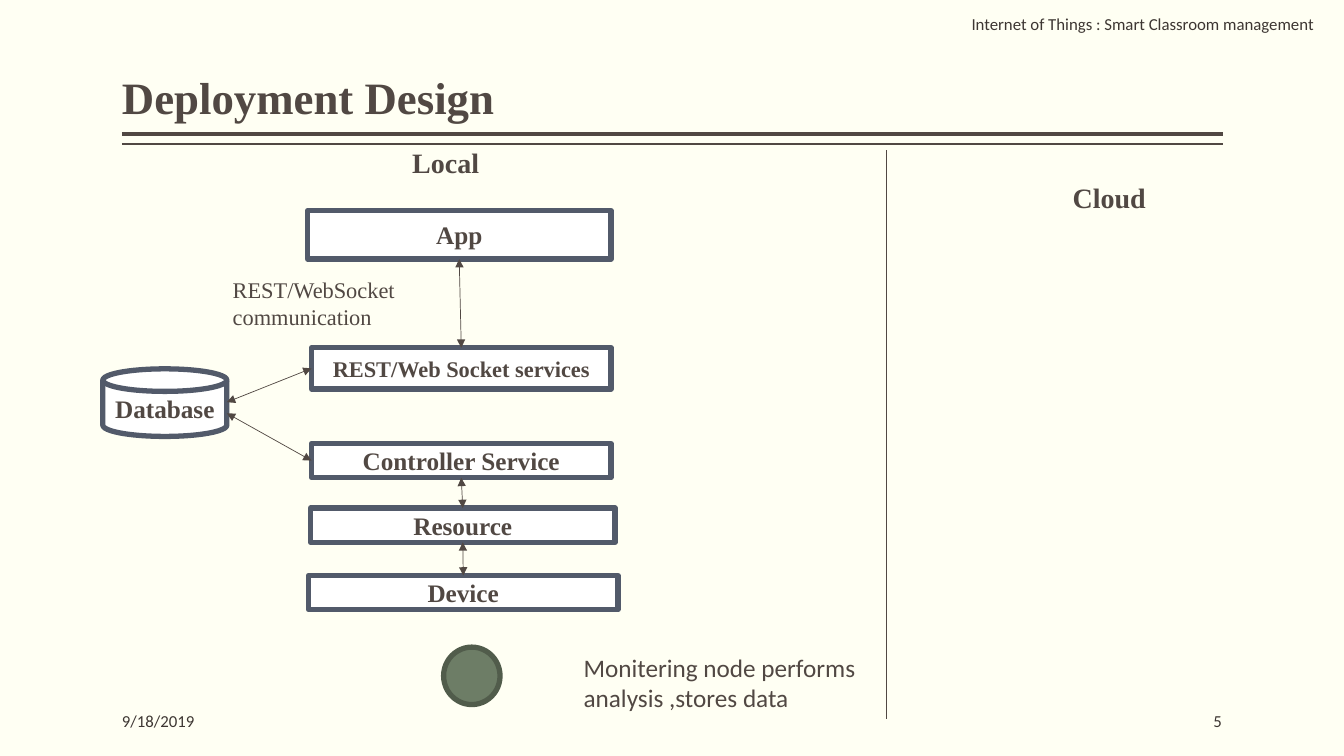
from dataclasses import dataclass

from lxml.etree import SubElement
from pptx import Presentation
from pptx.dml.color import RGBColor
from pptx.enum.shapes import MSO_CONNECTOR, MSO_SHAPE
from pptx.enum.text import MSO_ANCHOR, PP_ALIGN
from pptx.oxml.ns import qn
from pptx.util import Inches, Pt


@dataclass(frozen=True)
class Theme:
    """Colours, fonts and sizes of the slide."""
    background: str = "FFFFF3"
    ink: str = "514843"
    footer_ink: str = "3D3632"
    box_fill: str = "FFFFFF"
    box_line: str = "525A6A"
    node_fill: str = "6D7D66"
    node_line: str = "515C4B"
    serif: str = "Times New Roman"
    sans: str = "Calibri"
    title: int = 32
    heading: int = 20
    body: int = 18
    label: int = 16
    footer: int = 12
    border: float = 3.78
    hairline: float = 0.5


THEME = Theme()
TOP, LEFT, BOTTOM = 0, 1, 2


def color(value):
    """Turn a hex string into a colour."""
    return RGBColor.from_string(value)


def write(frame, text, size, font=THEME.serif, ink=THEME.ink, bold=False, align=PP_ALIGN.LEFT):
    """Write one run of text in a frame and return its paragraph."""
    frame.word_wrap = True
    paragraph = frame.paragraphs[0]
    paragraph.alignment = align
    run = paragraph.add_run()
    run.text = text
    run.font.size = Pt(size)
    run.font.name = font
    run.font.bold = bold
    run.font.color.rgb = color(ink)
    return paragraph


def add_text(slide, bounds, text, size, anchor=MSO_ANCHOR.TOP, flush=False, **style):
    """Add a text box, flush ones having no side margins."""
    frame = slide.shapes.add_textbox(*map(Inches, bounds)).text_frame
    frame.vertical_anchor = anchor
    if flush:
        frame.margin_left = frame.margin_right = 0
    return write(frame, text, size, **style)


def add_footer(slide, bounds, text, align):
    """Add a small text such as the date or the page number."""
    add_text(slide, bounds, text, THEME.footer, MSO_ANCHOR.MIDDLE, flush=True,
             font=THEME.sans, ink=THEME.footer_ink, align=align)


def add_outlined(slide, kind, bounds, fill=THEME.box_fill, line=THEME.box_line):
    """Add a filled shape with a thick border."""
    shape = slide.shapes.add_shape(kind, *map(Inches, bounds))
    shape.shadow.inherit = False
    shape.fill.solid()
    shape.fill.fore_color.rgb = color(fill)
    shape.line.color.rgb = color(line)
    shape.line.width = Pt(THEME.border)
    return shape


def add_component(slide, bounds, text, size=THEME.body, kind=MSO_SHAPE.RECTANGLE):
    """Add a shape that names one part of the system."""
    shape = add_outlined(slide, kind, bounds)
    shape.text_frame.vertical_anchor = MSO_ANCHOR.MIDDLE
    write(shape.text_frame, text, size, bold=True, align=PP_ALIGN.CENTER)
    return shape


def add_line(slide, start, end, width=THEME.hairline):
    """Add a straight line without a shadow."""
    line = slide.shapes.add_connector(MSO_CONNECTOR.STRAIGHT, *map(Inches, start + end))
    line.line.color.rgb = color(THEME.ink)
    line.line.width = Pt(width)
    SubElement(line._element.spPr, qn("a:effectLst"))
    return line


def add_double_arrow(slide, start, end):
    """Add a line with an arrowhead at each end."""
    arrow = add_line(slide, start, end)
    outline = arrow.line._get_or_add_ln()
    for tag in ("a:headEnd", "a:tailEnd"):
        SubElement(outline, qn(tag), type="triangle")
    return arrow


def add_frame(slide):
    """Add the title, its double rule and the small texts."""
    for top, width in ((1.33, 3), (1.43, 1)):
        add_line(slide, (1.21, top), (12.13, top), width)
    title = add_text(slide, (1.21, 0.08, 10.92, 1.2), "Deployment Design", THEME.title,
                     MSO_ANCHOR.BOTTOM, flush=True, bold=True)
    title.line_spacing = 0.9
    add_footer(slide, (1.21, 6.95, 2, 0.4), "9/18/2019", PP_ALIGN.LEFT)
    add_footer(slide, (10.12, 6.95, 2, 0.4), "5", PP_ALIGN.RIGHT)
    add_footer(slide, (9.34, 0.04, 3.99, 0.4),
               "Internet of Things : Smart Classroom management", PP_ALIGN.CENTER)


def add_local_stack(slide):
    """Add the local components and the arrows between them."""
    app = add_component(slide, (3.05, 2.09, 3.01, 0.48), "App")
    services = add_component(slide, (3.09, 3.45, 2.97, 0.41),
                             "REST/Web Socket services", THEME.label)
    controller = add_component(slide, (3.09, 4.4, 2.97, 0.34), "Controller Service")
    resource = add_component(slide, (3.08, 5.04, 3.02, 0.34), "Resource")
    device = add_component(slide, (3.06, 5.71, 3.07, 0.34), "Device")
    add_component(slide, (1.02, 3.66, 1.23, 0.67), "Database",
                  kind=MSO_SHAPE.FLOWCHART_MAGNETIC_DISK)

    for upper, lower in ((app, services), (controller, resource), (resource, device)):
        arrow = add_double_arrow(slide, (0, 0), (0, 0))
        arrow.begin_connect(upper, BOTTOM)
        arrow.end_connect(lower, TOP)
    for database_y, service in ((3.99, services), (4.1, controller)):
        arrow = add_double_arrow(slide, (2.25, database_y), (3.09, database_y))
        arrow.end_connect(service, LEFT)


def main():
    """Build the deployment slide."""
    presentation = Presentation()
    presentation.slide_width = Inches(13.33)
    presentation.slide_height = Inches(7.5)
    slide = presentation.slides.add_slide(presentation.slide_layouts[6])
    slide.background.fill.solid()
    slide.background.fill.fore_color.rgb = color(THEME.background)

    add_frame(slide)
    add_local_stack(slide)
    add_outlined(slide, MSO_SHAPE.FLOWCHART_CONNECTOR, (4.4, 6.42, 0.56, 0.57),
                 THEME.node_fill, THEME.node_line)
    add_line(slide, (8.79, 1.49), (8.79, 7.13))
    add_text(slide, (3.99, 1.39, 1.53, 0.44), "Local", THEME.heading, bold=True)
    add_text(slide, (10.54, 1.74, 1.94, 0.44), "Cloud", THEME.heading, bold=True)
    add_text(slide, (2.21, 2.69, 2.27, 0.64), "REST/WebSocket communication", THEME.label)
    add_text(slide, (5.69, 6.42, 3.31, 0.71),
             "Monitering node performs analysis ,stores data", THEME.body, font=THEME.sans)
    presentation.save("out.pptx")


if __name__ == "__main__":
    main()
